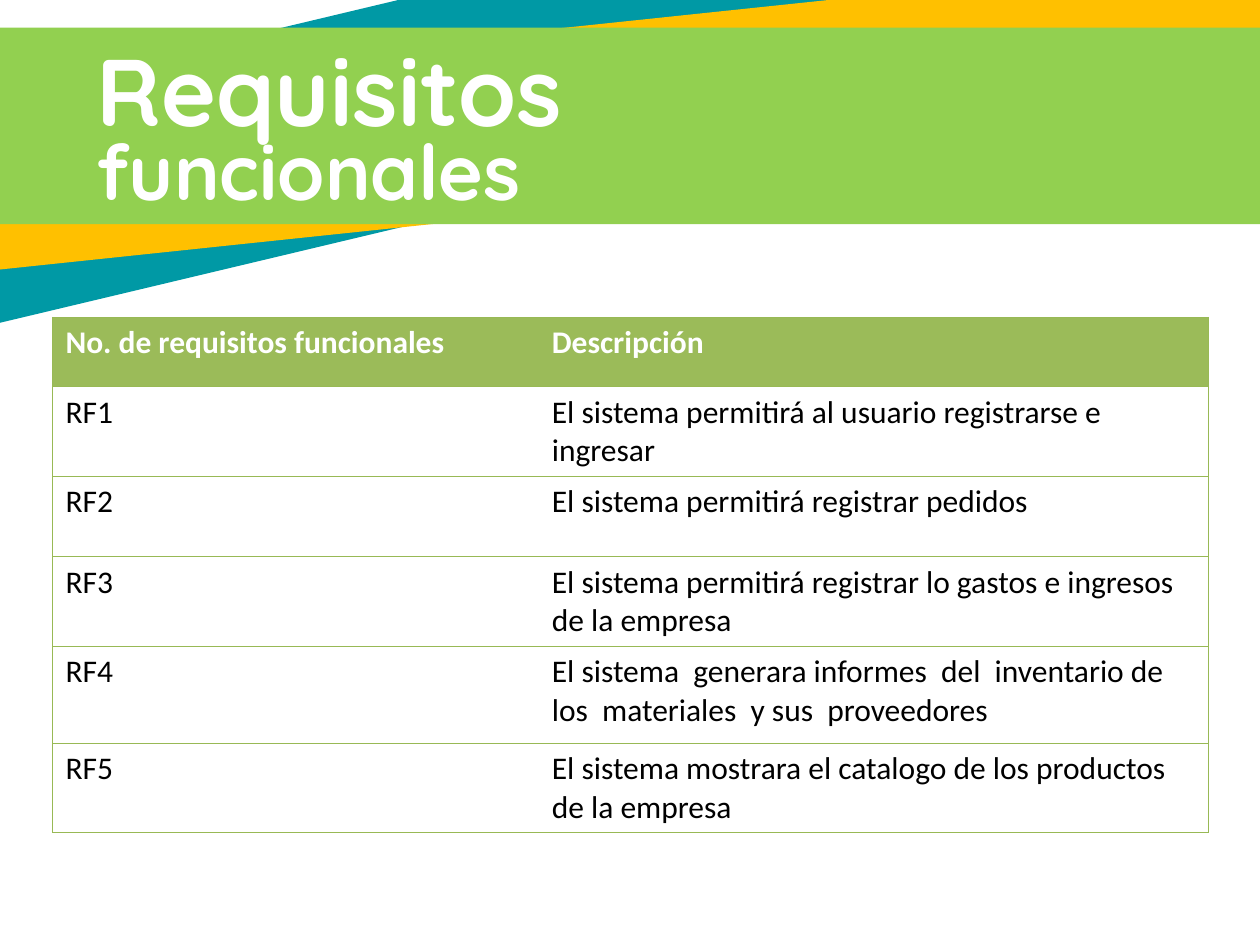
from lxml import etree
from pptx import Presentation
from pptx.dml.color import RGBColor
from pptx.enum.shapes import MSO_SHAPE as Shape
from pptx.enum.text import MSO_ANCHOR as Anchor
from pptx.oxml.ns import qn
from pptx.util import Inches, Pt

TEAL, AMBER, GREEN = "0099A5", "FFC000", "92D050"
HEADER, BORDER = "9BBB59", "98B955"
WHITE, BLACK = "FFFFFF", "000000"

HEADINGS = ("No. de requisitos funcionales", "Descripción")
DESCRIPTIONS = (
    "El sistema permitirá al usuario registrarse e ingresar",
    "El sistema permitirá registrar pedidos",
    "El sistema permitirá registrar lo gastos e ingresos de la empresa",
    "El sistema  generara informes  del  inventario de los  materiales  y sus  proveedores",
    "El sistema mostrara el catalogo de los productos de la empresa",
)
COLUMN_WIDTHS = (3.86, 5.31)
ROW_HEIGHTS = (0.55, 0.71, 0.64, 0.71, 0.77, 0.71)


def color(hex_code):
    return RGBColor.from_string(hex_code)


def write(frame, text, *, size, font, ink, bold=False):
    """Put one formatted paragraph into a text frame."""
    paragraph = frame.paragraphs[0]
    run = paragraph.add_run()
    run.text = text
    run.font.size, run.font.name, run.font.bold = Pt(size), font, bold
    run.font.color.rgb = color(ink)


class Deck:
    title_font, body_font = "Quicksand", "Calibri"

    def __init__(self, slide):
        self.shapes = slide.shapes

    def band(self, left, top, width, height, fill, rotation=0):
        band = self.shapes.add_shape(
            Shape.RECTANGLE, Inches(left), Inches(top), Inches(width), Inches(height))
        band.rotation = rotation
        band.shadow.inherit = False
        band.fill.solid()
        band.fill.fore_color.rgb = color(fill)
        band.line.fill.background()

    def title(self, text, left, top, width, height, size):
        frame = self.shapes.add_textbox(
            Inches(left), Inches(top), Inches(width), Inches(height)).text_frame
        frame.word_wrap = True
        frame.vertical_anchor = Anchor.MIDDLE
        write(frame, text, size=size, font=self.title_font, ink=WHITE, bold=True)

    def table(self, rows, left, top):
        table = self.shapes.add_table(
            len(rows), len(COLUMN_WIDTHS), Inches(left), Inches(top),
            Inches(sum(COLUMN_WIDTHS)), Inches(sum(ROW_HEIGHTS))).table
        table.horz_banding = False
        for column, width in zip(table.columns, COLUMN_WIDTHS):
            column.width = Inches(width)
        for row, height in zip(table.rows, ROW_HEIGHTS):
            row.height = Inches(height)
        for r, row in enumerate(rows):
            for c, text in enumerate(row):
                self.cell(table.cell(r, c), text, is_header=r == 0, is_first=c == 0)

    def cell(self, cell, text, is_header, is_first):
        inner_side = "R" if is_first else "L"
        for side in "LRTB":
            self.border(cell, side, visible=side != inner_side)
        if is_header:
            cell.fill.solid()
            cell.fill.fore_color.rgb = color(HEADER)
        else:
            cell.fill.background()
        write(cell.text_frame, text, size=18, font=self.body_font,
              ink=WHITE if is_header else BLACK, bold=is_header)

    def border(self, cell, side, visible):
        properties = cell._tc.get_or_add_tcPr()
        line = etree.SubElement(properties, qn(f"a:ln{side}"), w=str(Pt(0.75)))
        if visible:
            fill = etree.SubElement(line, qn("a:solidFill"))
            etree.SubElement(fill, qn("a:srgbClr"), val=BORDER)
        else:
            etree.SubElement(line, qn("a:noFill"))


def main():
    presentation = Presentation()
    presentation.slide_width, presentation.slide_height = Inches(10), Inches(7.5)
    deck = Deck(presentation.slides.add_slide(presentation.slide_layouts[6]))

    deck.band(-2.51, -0.18, 13.06, 1.76, TEAL, rotation=346.6)
    deck.band(-1.1, 0.2, 11.63, 1.44, AMBER, rotation=354)
    deck.band(-1.06, 0.22, 11.63, 1.56, GREEN)
    deck.title("Requisitos", 0.67, 0.29, 4.16, 0.82, size=54)
    deck.title("funcionales", 0.67, 1.11, 3.94, 0.48, size=44)

    requirements = [(f"RF{n}", text) for n, text in enumerate(DESCRIPTIONS, 1)]
    deck.table([HEADINGS, *requirements], 0.42, 2.52)
    presentation.save("out.pptx")


if __name__ == "__main__":
    main()
